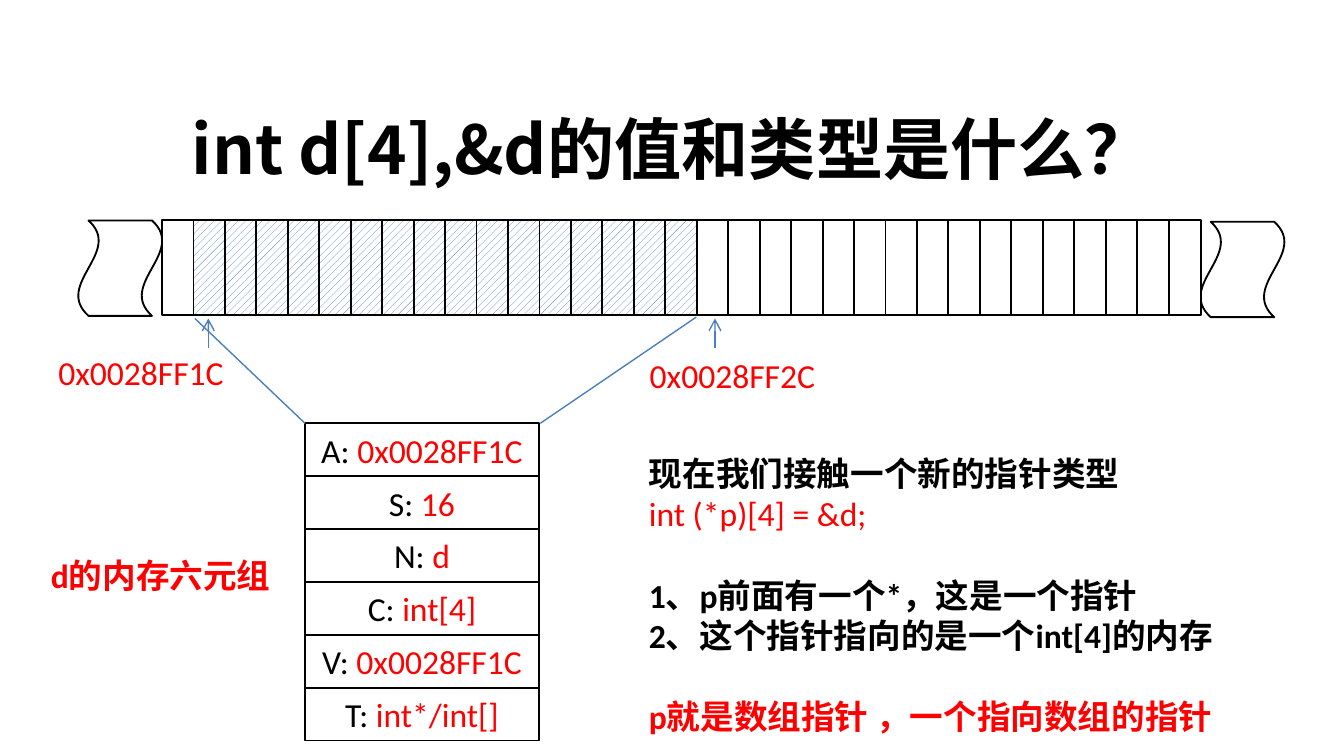
from lxml import etree
from pptx import Presentation, util as u
from pptx.dml.color import RGBColor
from pptx.enum import dml, shapes, text
from pptx.oxml import ns

BLACK = RGBColor(0, 0, 0)
WHITE = RGBColor(255, 255, 255)
RED = RGBColor(255, 0, 0)
HATCH_BLUE = RGBColor(0x4F, 0x81, 0xBD)
LINE_BLUE = RGBColor(0x4B, 0x7E, 0xBC)
CHINESE_FONT = "Noto Sans CJK SC"


def add_text(paragraph, words, size=18, color=BLACK, bold=False, font="Calibri", align=None):
    run = paragraph.add_run()
    run.text = words
    run.font.name = font
    run.font.size = u.Pt(size)
    run.font.bold = bold
    run.font.color.rgb = color
    properties = run.font._element
    etree.SubElement(properties, ns.qn("a:ea"), typeface=CHINESE_FONT)
    paragraph.alignment = align


def add_outlined(kind, left, top, width, height, rotation=0):
    shape = slide.shapes.add_shape(
        kind, u.Inches(left), u.Inches(top), u.Inches(width), u.Inches(height))
    shape.rotation = rotation
    shape.shadow.inherit = False
    shape.fill.solid()
    shape.fill.fore_color.rgb = WHITE
    shape.line.color.rgb = BLACK
    shape.line.width = u.Pt(1)
    return shape


presentation = Presentation()
presentation.slide_width = u.Inches(10)
presentation.slide_height = u.Inches(10) * 9 // 16
slide = presentation.slides.add_slide(presentation.slide_layouts[5])
center = text.PP_ALIGN.CENTER

title = slide.shapes.title
title.left, title.top = u.Inches(0.5), u.Inches(0.72)
title.width, title.height = u.Inches(9), u.Inches(0.75)
title.text_frame.auto_size = text.MSO_AUTO_SIZE.NONE
title.text_frame.vertical_anchor = text.MSO_ANCHOR.MIDDLE
add_text(title.text_frame.paragraphs[0], "int d[4],&d的值和类型是什么？",
         size=36, bold=True, font=CHINESE_FONT, align=center)

explanation = slide.shapes.add_textbox(
    u.Inches(4.73), u.Inches(3.32), u.Inches(4.88), u.Inches(2.22))
explanation.text_frame.word_wrap = True
explanation_lines = [
    ("现在我们接触一个新的指针类型", BLACK, True, 0),
    ("int (*p)[4] = &d;", RED, False, 0),
    ("1、p前面有一个*，这是一个指针", BLACK, True, 22),
    ("2、这个指针指向的是一个int[4]的内存", BLACK, True, 0),
    ("p就是数组指针 ，一个指向数组的指针", RED, True, 22),
]
for index, (words, color, bold, gap) in enumerate(explanation_lines):
    frame = explanation.text_frame
    paragraph = frame.add_paragraph() if index else frame.paragraphs[0]
    if gap:
        paragraph.space_before = u.Pt(gap)
    add_text(paragraph, words, color=color, bold=bold)

for left, top in ((0.54, 1.68), (8.89, 1.69)):
    add_outlined(shapes.MSO_SHAPE.WAVE, left, top, 0.71, 0.63, rotation=270)

BYTE_COUNT = 33
ARRAY_BYTES = range(1, 17)
byte_pitch = (8.46 - 0.97) / (BYTE_COUNT - 1)
for index in range(BYTE_COUNT):
    byte = add_outlined(shapes.MSO_SHAPE.RECTANGLE, 0.97 + index * byte_pitch, 1.87,
                        0.71, 0.24, rotation=90)
    if index in ARRAY_BYTES:
        byte.fill.patterned()
        byte.fill.pattern = dml.MSO_PATTERN.WIDE_UPWARD_DIAGONAL
        byte.fill.fore_color.rgb = HATCH_BLUE
        byte.fill.back_color.rgb = WHITE

attributes = [("A", "0x0028FF1C"), ("S", "16"), ("N", "d"),
              ("C", "int[4]"), ("V", "0x0028FF1C"), ("T", "int*/int[]")]
row_height = (5.51 - 3.15) / len(attributes)
for index, (key, value) in enumerate(attributes):
    row = add_outlined(shapes.MSO_SHAPE.RECTANGLE, 2.27, 3.15 + index * row_height,
                       1.74, row_height)
    row.fill.background()
    row.text_frame.vertical_anchor = text.MSO_ANCHOR.MIDDLE
    paragraph = row.text_frame.paragraphs[0]
    add_text(paragraph, key + ": ", align=center)
    add_text(paragraph, value, color=RED, align=center)

labels = [
    ("0x0028FF1C", 0.31, 2.57, 1.48, False),
    ("0x0028FF2C", 4.71, 2.59, 1.48, False),
    ("d的内存六元组", 0.27, 4.08, 1.85, True),
]
for words, left, top, width, emphasized in labels:
    label = slide.shapes.add_textbox(
        u.Inches(left), u.Inches(top), u.Inches(width), u.Inches(0.4))
    label.text_frame.word_wrap = emphasized
    add_text(label.text_frame.paragraphs[0], words, color=RED, bold=emphasized, align=center)

connections = [
    (2.27, 3.15, 1.45, 2.37, False),
    (4.02, 3.15, 5.18, 2.36, False),
    (1.55, 2.59, 1.55, 2.37, True),
    (5.32, 2.59, 5.32, 2.37, True),
]
for *ends, has_arrow in connections:
    connector = slide.shapes.add_connector(
        shapes.MSO_CONNECTOR.STRAIGHT, *[u.Inches(value) for value in ends])
    connector.line.color.rgb = LINE_BLUE
    connector.line.width = u.Pt(0.75)
    if has_arrow:
        etree.SubElement(connector.line._get_or_add_ln(), ns.qn("a:tailEnd"), type="arrow")
    etree.SubElement(connector._element.spPr, ns.qn("a:effectLst"))

presentation.save("out.pptx")
